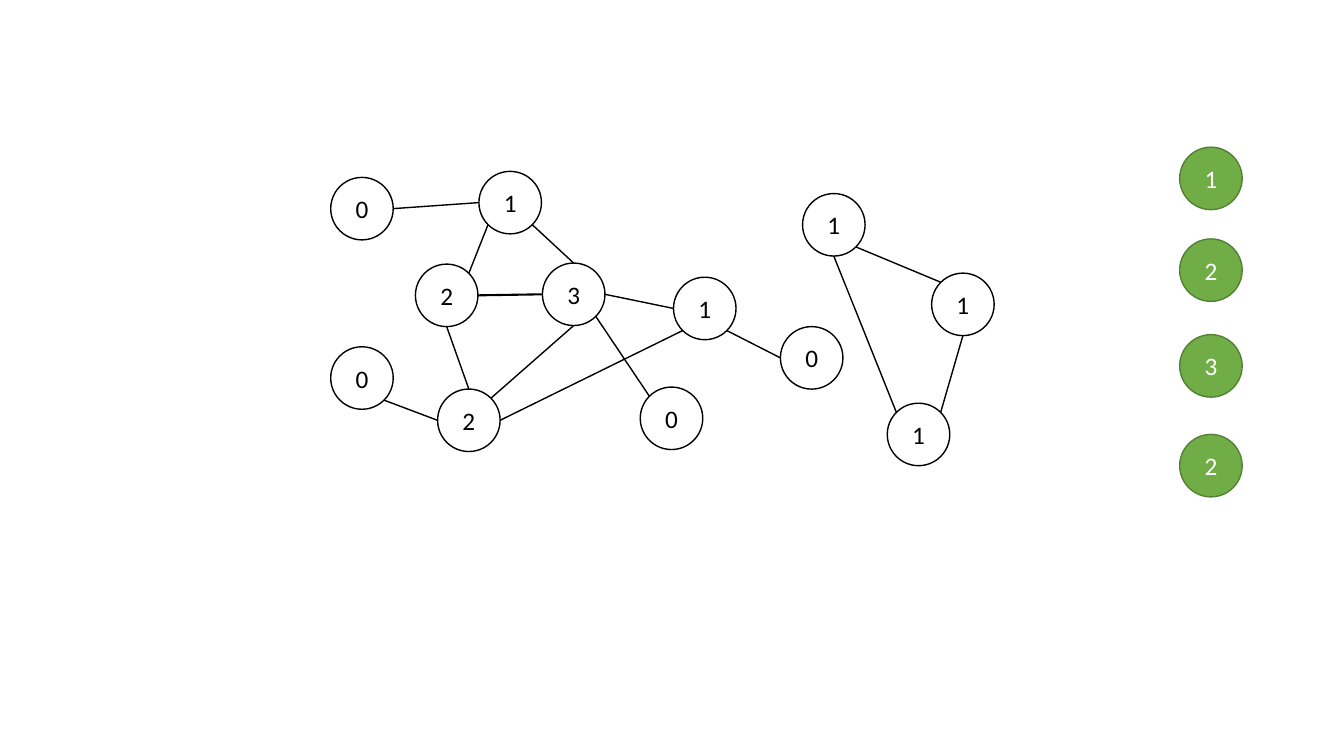
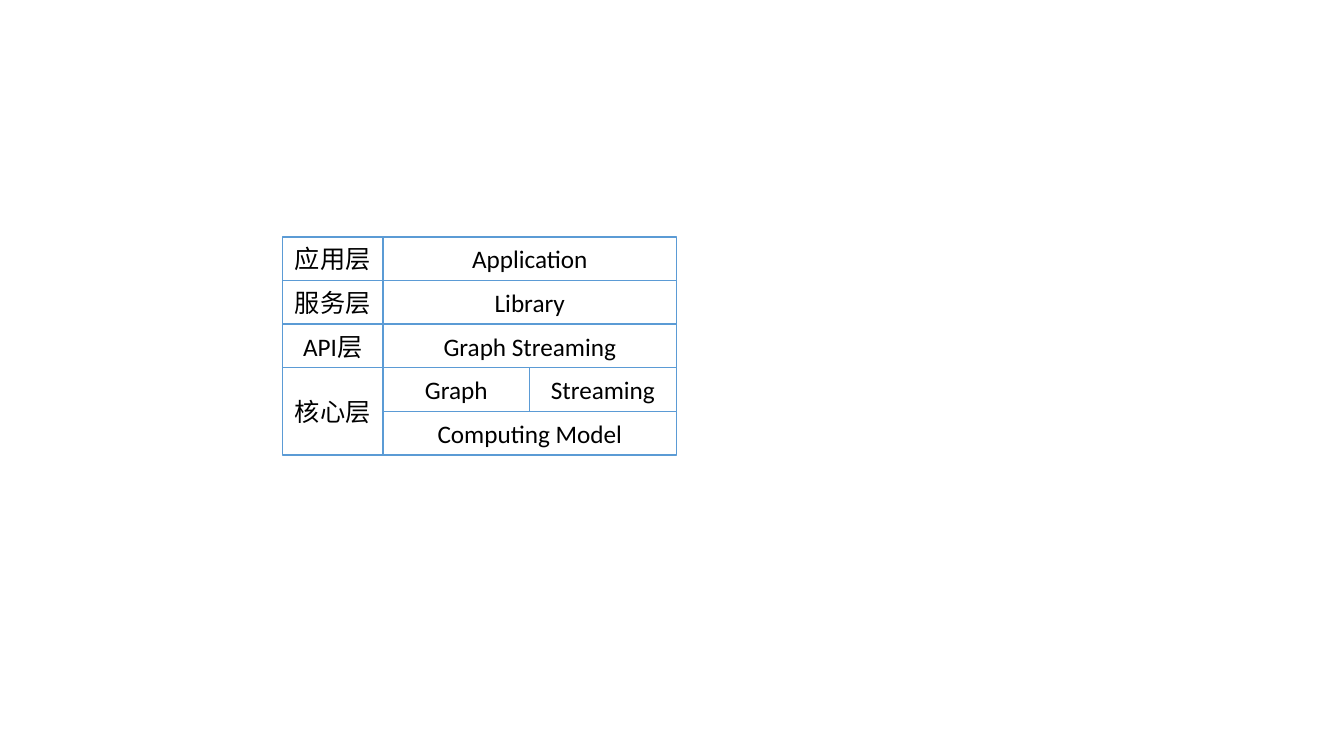
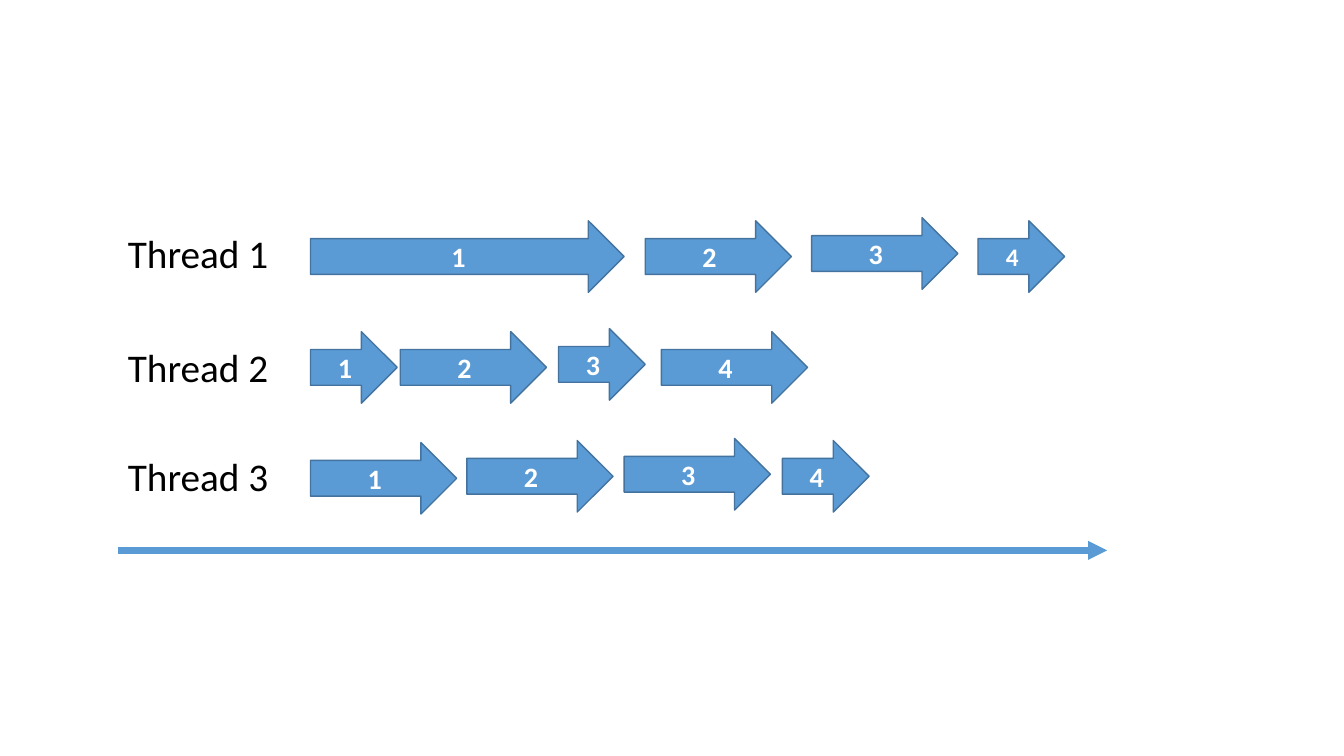
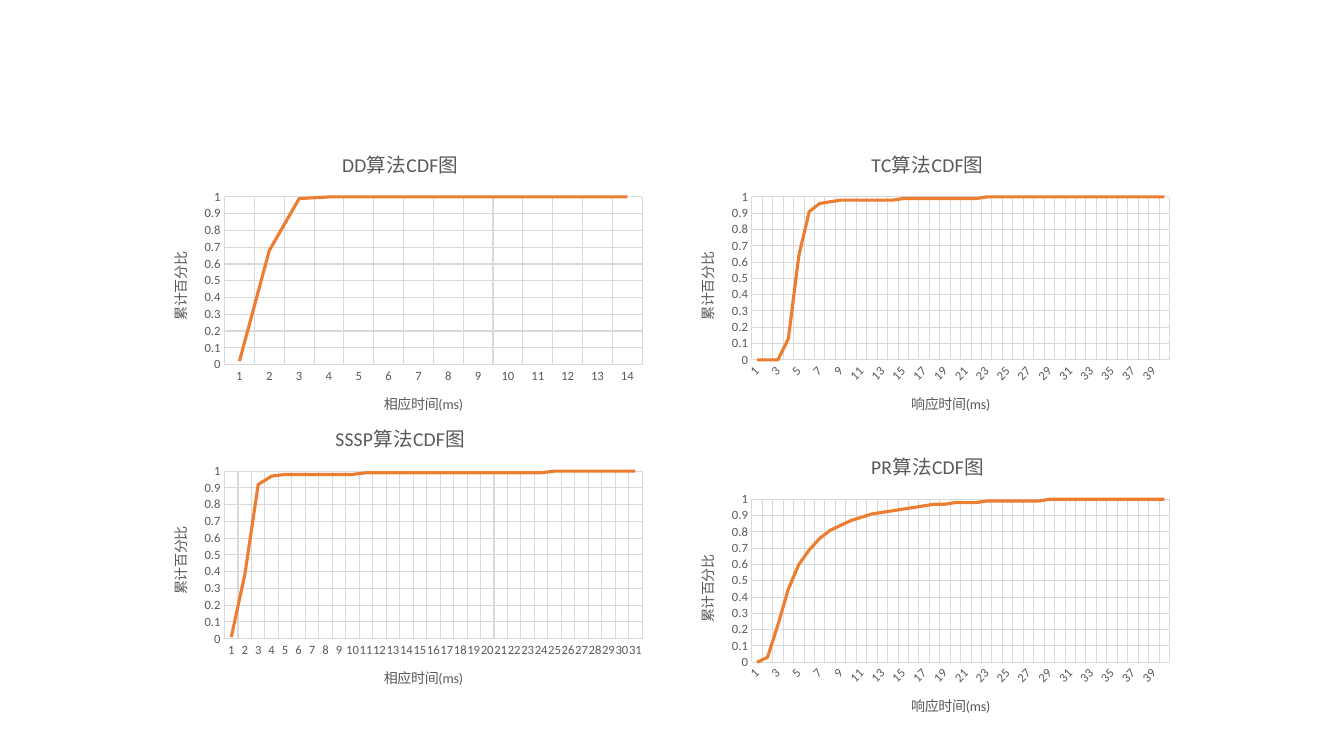
from pptx import Presentation
from pptx import util as u
from pptx.chart import data as chart_data
from pptx.dml.color import RGBColor
from pptx.enum import chart as ch, shapes, text
from pptx.oxml.ns import qn
from lxml import etree

# Theme: colours, type sizes and the looks built from them
THEME = {
    "font": "Calibri", "black": "000000", "white": "FFFFFF", "grey": "595959",
    "rule": "D9D9D9", "blue": "5B9BD5", "navy": "43739E", "green": "70AD47",
    "moss": "538035", "orange": "ED7D31",
    "body": 18, "step": 20, "label": 28, "chart_title": 14, "axis_title": 10, "tick": 9,
}
LOOKS = {  # fill, line, text colour, size, bold
    "node": ("white", "black", "black", "body", False),
    "mark": ("green", "moss", "white", "body", False),
    "layer": ("white", "blue", "black", "body", False),
    "step": ("blue", "navy", "white", "step", True),
    "last step": ("blue", "navy", "white", "body", True),
    "label": (None, None, "black", "label", False),
}

deck = Presentation()
deck.slide_width, deck.slide_height = u.Inches(13.33), u.Inches(7.5)
CELL = deck.slide_width / 13.33  # side of one square of the slide grid
SHAPE = shapes.MSO_SHAPE
network, layers, threads, charts = [
    deck.slides.add_slide(deck.slide_layouts[6]) for _ in range(4)]


def add_box(page, kind, left, top, width, height, words, look):
    fill, line, ink, size, bold = LOOKS[look]
    place = [round(n * CELL) for n in (left, top, width, height)]
    if kind is None:
        box = page.shapes.add_textbox(*place)
    else:
        box = page.shapes.add_shape(kind, *place)
        box.shadow.inherit = False
        box.fill.solid()
        box.fill.fore_color.rgb = RGBColor.from_string(THEME[fill])
        box.line.color.rgb = RGBColor.from_string(THEME[line])
        box.line.width = u.Pt(1)
        box.text_frame.vertical_anchor = text.MSO_ANCHOR.MIDDLE
    box.text_frame.word_wrap = True
    para = box.text_frame.paragraphs[0]
    para.alignment = text.PP_ALIGN.CENTER if kind else text.PP_ALIGN.LEFT
    span = para.add_run()
    span.text = words
    span.font.color.rgb = RGBColor.from_string(THEME[ink])
    for name, value in {"name": THEME["font"], "size": u.Pt(THEME[size]), "bold": bold}.items():
        setattr(span.font, name, value)


def add_line(page, start, end, color, width):
    ends = [round(n * CELL) for n in (*start, *end)]
    line = page.shapes.add_connector(shapes.MSO_CONNECTOR.STRAIGHT, *ends)
    line.line.color.rgb = RGBColor.from_string(THEME[color])
    line.line.width = u.Pt(width)
    etree.SubElement(line._element.spPr, qn("a:effectLst"))
    return line


# Slide 1: graph nodes by left and top, with their degrees
SIZE = 0.62
NODES = {
    "leaf top": (3.28, 1.76, "0"), "leaf low": (3.28, 3.44, "0"),
    "leaf mid": (6.35, 3.84, "0"), "leaf right": (7.74, 3.24, "0"),
    "top": (4.75, 1.7, "1"), "left": (4.12, 2.62, "2"), "hub": (5.38, 2.61, "3"),
    "low": (4.34, 3.86, "2"), "right": (6.68, 2.75, "1"),
    "tri top": (7.96, 1.92, "1"), "tri right": (9.24, 2.71, "1"), "tri low": (8.8, 4, "1"),
}
# Points on a node's rim, as shares of its radius
RIM = {"N": (0, -1), "S": (0, 1), "W": (-1, 0), "E": (1, 0), "NW": (-.71, -.71),
       "NE": (.71, -.71), "SW": (-.71, .71), "SE": (.71, .71)}
EDGES = [
    ("top", "W", "leaf top", "E"), ("leaf low", "SE", "low", "W"),
    ("left", "NE", "top", "SW"), ("hub", "E", "right", "W"),
    ("hub", "SE", "leaf mid", "NW"), ("right", "SW", "low", "E"),
    ("left", "E", "hub", "W"), ("top", "SE", "hub", "N"),
    ("left", "S", "low", "N"), ("low", "NE", "hub", "S"),
    ("right", "SE", "leaf right", "W"), ("tri top", "SE", "tri right", "NW"),
    ("tri right", "S", "tri low", "NE"), ("tri top", "S", "tri low", "NW"),
]
for left, top, degree in NODES.values():
    add_box(network, SHAPE.FLOWCHART_CONNECTOR, left, top, SIZE, SIZE, degree, "node")
for first, first_side, second, second_side in EDGES:
    start, end = [
        [corner + SIZE / 2 * (1 + share) for corner, share in zip(NODES[node], RIM[side])]
        for node, side in ((first, first_side), (second, second_side))]
    add_line(network, start, end, "black", 1.5 if (first, second) == ("left", "hub") else 1)
for top, degree in ((1.46, "1"), (2.37, "2"), (3.32, "3"), (4.31, "2")):
    add_box(network, SHAPE.FLOWCHART_CONNECTOR, 11.7, top, SIZE, SIZE, degree, "mark")

# Slide 2: layer stack; each entry is column, row, columns wide, rows high
EDGE_X, TOP_Y, ROW = (2.8, 3.8, 5.25, 6.71), 2.35, 0.433
LAYERS = [
    (0, 0, 1, 1, "应用层"), (1, 0, 2, 1, "Application"),
    (0, 1, 1, 1, "服务层"), (1, 1, 2, 1, "Library"),
    (0, 2, 1, 1, "API层"), (1, 2, 2, 1, "Graph Streaming"),
    (0, 3, 1, 2, "核心层"), (1, 3, 1, 1, "Graph"), (2, 3, 1, 1, "Streaming"),
    (1, 4, 2, 1, "Computing Model"),
]
for col, row, wide, high, words in LAYERS:
    add_box(layers, SHAPE.RECTANGLE, EDGE_X[col], TOP_Y + row * ROW,
            EDGE_X[col + wide] - EDGE_X[col], high * ROW, words, "layer")

# Slide 3: threads as label top, then left, top and width of each step
SHORT, LONG = 0.86, 1.45
THREADS = [
    (2.23, [(3.08, 2.19, 3.11), (6.4, 2.19, LONG), (8.05, 2.16, LONG), (9.7, 2.19, SHORT)]),
    (3.36, [(3.08, 3.29, SHORT), (3.97, 3.29, LONG), (5.54, 3.26, SHORT), (6.56, 3.29, LONG)]),
    (4.44, [(3.08, 4.39, LONG), (4.63, 4.37, LONG), (6.19, 4.35, LONG), (7.76, 4.37, SHORT)]),
]
for thread, (label_top, steps) in enumerate(THREADS, 1):
    add_box(threads, None, 1.17, label_top, 1.91, 0.57, f"Thread {thread}", "label")
    for step, (left, top, width) in enumerate(steps, 1):
        look = "last step" if (thread, step) == (1, 4) else "step"
        add_box(threads, SHAPE.RIGHT_ARROW, left, top, width, 0.71, str(step), look)
time_axis = add_line(threads, (1.17, 5.46), (10.98, 5.46), "blue", 4.5)
etree.SubElement(time_axis.line._get_or_add_ln(), qn("a:tailEnd"), type="triangle")

# Slide 4: cumulative curves as left, top, name, time title, label turn, values
CURVES = [
    (1.47, 1.31, "DD", "相应时间", 0, [.02, .68, .99] + [1] * 11),
    (6.7, 1.31, "TC", "响应时间", -45,
     [0, 0, 0, .13, .64, .91, .96, .97] + [.98] * 6 + [.99] * 8 + [1] * 18),
    (1.47, 4.03, "SSSP", "相应时间", 0,
     [.01, .38, .92, .97] + [.98] * 6 + [.99] * 14 + [1] * 7),
    (6.7, 4.31, "PR", "响应时间", -45,
     [0, .03, .23, .45, .6, .69, .76, .81, .84, .87, .89, .91, .92, .93, .94, .95, .96,
      .97, .97] + [.98] * 3 + [.99] * 6 + [1] * 12),
]
for left, top, name, time_title, turn, values in CURVES:
    table = chart_data.CategoryChartData()
    table.categories = [str(n) for n in range(1, len(values) + 1)]
    table.add_series("Series 1", values)
    place = [round(n * CELL) for n in (left, top, 5, 3)]
    chart = charts.shapes.add_chart(ch.XL_CHART_TYPE.LINE, *place, table).chart
    chart.has_legend = False
    chart.font.name = THEME["font"]
    chart.font.size = u.Pt(THEME["axis_title"])
    chart.plots[0].vary_by_categories = False
    curve = chart.plots[0].series[0]
    curve.smooth = False
    curve.format.line.color.rgb = RGBColor.from_string(THEME["orange"])
    curve.format.line.width = u.Pt(2.25)

    # Axes
    times, shares = chart.category_axis, chart.value_axis
    for name_, value in {"minimum_scale": 0, "maximum_scale": 1, "major_unit": 0.1}.items():
        setattr(shares, name_, value)
    shares.tick_labels.number_format = "General"
    shares.tick_labels.number_format_is_linked = False
    fonts = []
    for axis in (times, shares):
        axis.has_major_gridlines = True
        axis.major_tick_mark = axis.minor_tick_mark = ch.XL_TICK_MARK.NONE
        for line in (axis.major_gridlines.format.line, axis.format.line):
            line.color.rgb = RGBColor.from_string(THEME["rule"])
            line.width = u.Pt(0.75)
        fonts.append((axis.tick_labels.font, "tick"))
    shares.format.line.fill.background()
    times._element.txPr.bodyPr.set("rot", str(turn * 60000))

    # Titles
    for part, words, size in ((chart.chart_title, f"{name}算法CDF图", "chart_title"),
                              (times.axis_title, f"{time_title}(ms)", "axis_title"),
                              (shares.axis_title, "累计百分比", "axis_title")):
        span = part.text_frame.paragraphs[0].add_run()
        span.text = words
        fonts.append((span.font, size))
    chart.chart_title.include_in_layout = False
    shares.axis_title.text_frame._txBody.bodyPr.set("rot", str(-90 * 60000))
    for font, size in fonts:
        font.color.rgb = RGBColor.from_string(THEME["grey"])
        for key, value in {"name": THEME["font"], "size": u.Pt(THEME[size]), "bold": False}.items():
            setattr(font, key, value)

deck.save("out.pptx")
